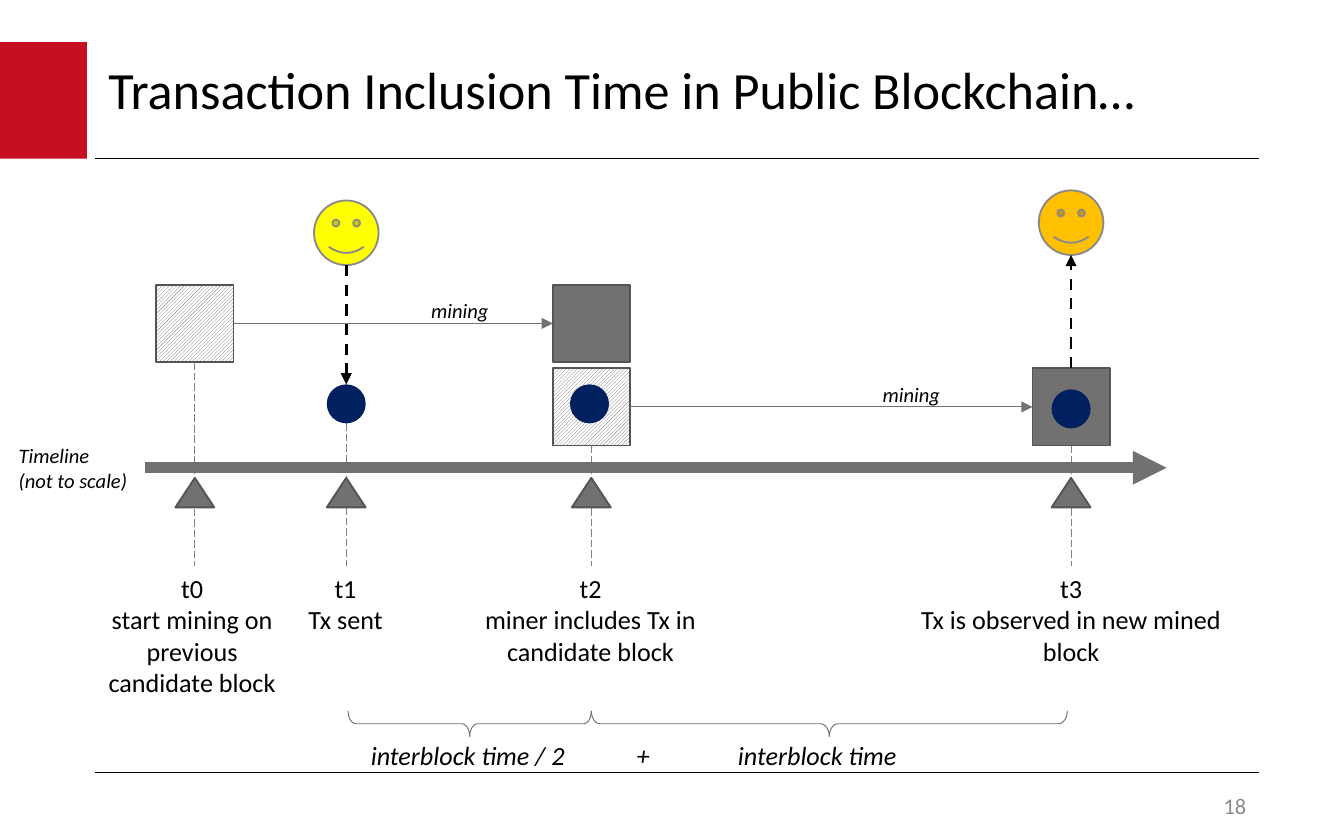
"""Builds the slide on transaction inclusion time in a public blockchain."""
from lxml import etree
from pptx import Presentation
from pptx.dml.color import RGBColor
from pptx.enum.dml import MSO_LINE, MSO_PATTERN
from pptx.enum.shapes import MSO_CONNECTOR, MSO_SHAPE
from pptx.enum.text import MSO_ANCHOR, PP_ALIGN
from pptx.oxml.ns import qn
from pptx.util import Pt

RECT, OVAL, TRI = MSO_SHAPE.RECTANGLE, MSO_SHAPE.OVAL, MSO_SHAPE.ISOSCELES_TRIANGLE
SMILE, BRACE = MSO_SHAPE.SMILEY_FACE, MSO_SHAPE.LEFT_BRACE
DASH, LONG = MSO_LINE.DASH, MSO_LINE.LONG_DASH
HATCH = MSO_PATTERN.LIGHT_UPWARD_DIAGONAL
STRAIGHT = MSO_CONNECTOR.STRAIGHT
LEFT, MID, RIGHT = PP_ALIGN.LEFT, PP_ALIGN.CENTER, PP_ALIGN.RIGHT
TOP, CENTER = MSO_ANCHOR.TOP, MSO_ANCHOR.MIDDLE

COLORS = {
    "red": "C50E1F", "black": "000000", "white": "FFFFFF", "gray": "717171",
    "edge": "545454", "drop": "808080", "face": "8A8A8A", "page": "8C8C8C",
    "navy": "002060", "yellow": "FFFF00", "orange": "FFC000",
}
T0, T1, T2, T3 = 104.4, 185.5, 316.8, 573.8
SIDE, DOT, FACE = 41.4, 20.9, 34.6
UPPER, LOWER = 152.6, 197.3
LABEL = 303.1


def color(name):
    """Return the named colour."""
    return RGBColor.from_string(COLORS[name])


def shape(slide, kind, x, y, w, h, fill=None, edge=None, width=1):
    """Add a flat shape with an optional fill and outline."""
    item = slide.shapes.add_shape(kind, Pt(x), Pt(y), Pt(w), Pt(h))
    item.shadow.inherit = False
    if fill:
        item.fill.solid()
        item.fill.fore_color.rgb = color(fill)
    else:
        item.fill.background()
    if edge:
        item.line.color.rgb = color(edge)
        item.line.width = Pt(width)
    else:
        item.line.fill.background()
    return item


def block(slide, mid, y, mined):
    """Add a block, hatched until it is mined."""
    item = shape(slide, RECT, mid - SIDE / 2, y, SIDE, SIDE, "gray", "edge")
    if not mined:
        item.fill.patterned()
        item.fill.pattern = HATCH
        item.fill.fore_color.rgb = color("gray")
        item.fill.back_color.rgb = color("white")
    return item


def dot(slide, mid, y):
    """Add a transaction dot."""
    shape(slide, OVAL, mid - DOT / 2, y, DOT, DOT, "navy")


def face(slide, mid, y, fill):
    """Add a smiling user."""
    shape(slide, SMILE, mid - FACE / 2, y, FACE, FACE, fill, "face")


def brace(slide, start, end, bend):
    """Add a brace that spans two times and points down."""
    span, deep, mid, y = end - start, 13.7, (start + end) / 2, 387.7
    item = shape(slide, BRACE, mid - deep / 2, y - span / 2, deep, span, None, "gray", 0.5)
    item.rotation = 270
    item.adjustments[0] = bend


def line(slide, start, end, tint, width, dash=None, head=False, begin=None, stop=None):
    """Add a line, joined to a (shape, site) pair where one is given."""
    item = slide.shapes.add_connector(STRAIGHT, *map(Pt, start + end))
    item.line.color.rgb = color(tint)
    item.line.width = Pt(width)
    if dash:
        item.line.dash_style = dash
    props = item._element.spPr
    if head:
        etree.SubElement(props.find(qn("a:ln")), qn("a:tailEnd"), type="triangle")
    etree.SubElement(props, qn("a:effectLst"))
    if begin:
        item.begin_connect(*begin)
    if stop:
        item.end_connect(*stop)


def text(slide, words, x, y, w, h, size=14, align=MID, italic=False,
         tint="black", anchor=TOP, wrap=True):
    """Add a text box in one style."""
    frame = slide.shapes.add_textbox(Pt(x), Pt(y), Pt(w), Pt(h)).text_frame
    frame.word_wrap = wrap
    frame.vertical_anchor = anchor
    frame.text = words
    for para in frame.paragraphs:
        para.alignment = align
        for run in para.runs:
            run.font.name = "Calibri"
            run.font.size = Pt(size)
            run.font.italic = italic
            run.font.color.rgb = color(tint)
    return frame


def base(slide):
    """Add the title, rules, red tab and page number."""
    shape(slide, RECT, 0, 22.6, 46.6, 62.4, "red")
    for y in (85, 413.8):
        line(slide, (51, y), (674.6, y), "black", 0.75)
    title = text(slide, "Transaction Inclusion Time in Public Blockchain…",
                 51, 23.8, 623.6, 51.1, 28, LEFT, anchor=CENTER)
    title.paragraphs[0].line_spacing = 0.9
    text(slide, "18", 528.5, 422.6, 146.2, 18, 12, RIGHT, tint="page", anchor=CENTER)


def chain(slide):
    """Add the blocks, transactions, users and timeline."""
    first = block(slide, T0, UPPER, False)
    done = block(slide, T2, UPPER, True)
    next_up = block(slide, T2, LOWER, False)
    last = block(slide, T3, LOWER, True)

    for mid, top, owner in ((T0, UPPER + SIDE, first), (T1, 226.8, None),
                            (T2, LOWER + SIDE, next_up), (T3, LOWER + SIDE, last)):
        line(slide, (mid, top), (mid, LABEL), "drop", 0.5, LONG,
             begin=(owner, 2) if owner else None)
    line(slide, (77.8, 250.6), (625, 250.6), "gray", 6, head=True)
    for mid in (T0, T1, T2, T3):
        shape(slide, TRI, mid - 10.4, 256, 20.8, 15.8, "gray", "edge")

    for mid, y in ((T1, 205.9), (T2 - 1, 205.9), (T3, 208.6)):
        dot(slide, mid, y)
    face(slide, T1, 107.4, "yellow")
    face(slide, T3, 102, "orange")
    line(slide, (T1, 142), (T1, 205.9), "black", 1.5, DASH, True)
    line(slide, (T3, LOWER), (T3, 136.6), "black", 1.5, DASH, True, begin=(last, 0))

    for start, end, x, y in ((first, done, 223.9, 156.2), (next_up, last, 465.8, 200.9)):
        line(slide, (0, 0), (0, 0), "gray", 0.5, head=True, begin=(start, 3), stop=(end, 1))
        text(slide, "mining", x, y, 45.4, 20.9, 11, LEFT, True, wrap=False)


def notes(slide):
    """Add the time labels and the spans between them."""
    for words, x, w, h in (
        ("t0\vstart mining on previous candidate block", 50.4, 105.1, 75.6),
        ("t1\nTx sent", 153.4, 63.4, 41),
        ("t2\nminer includes Tx in candidate block", 241.9, 149, 58.3),
        ("t3\nTx is observed in new mined block", 486, 175.7, 58.3),
    ):
        text(slide, words, x, LABEL, w, h)
    text(slide, "Timeline\n(not to scale)", 2.9, 234, 79.2, 33.8, 11, LEFT, True)
    brace(slide, T1 + 1, T2, 0.306)
    brace(slide, T2, T3 - 2, 0.343)
    for words, x, w in (("interblock time / 2", 164.2, 172.8), ("+", 330.5, 28.1),
                        ("interblock time", 373.7, 128.2)):
        text(slide, words, x, 392.4, w, 24.5, italic=True)


def main():
    """Build and save the slide."""
    deck = Presentation()
    deck.slide_width, deck.slide_height = Pt(720), Pt(450)
    slide = deck.slides.add_slide(deck.slide_layouts[6])
    base(slide)
    chain(slide)
    notes(slide)
    deck.save("out.pptx")


if __name__ == "__main__":
    main()
